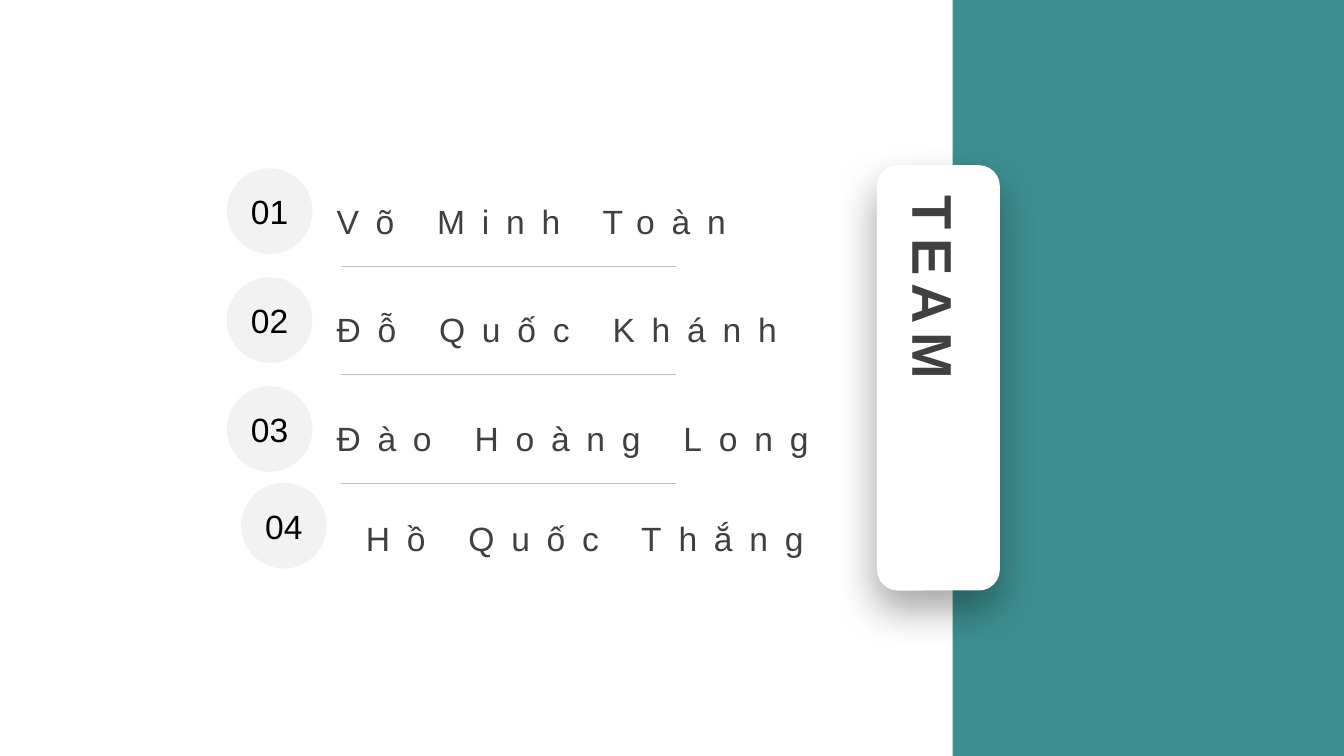
from lxml import etree
from pptx import Presentation
from pptx.dml.color import RGBColor
from pptx.enum import shapes, text
from pptx.oxml import ns
from pptx.util import Pt

COLORS = {"teal": "3C8E90", "white": "FFFFFF", "disc": "F2F2F2", "ink": "404040",
          "number": "000000", "rule": "BFBFBF", "shadow": "000000"}
SLIDE_W, SLIDE_H = 960, 540
FONT = "Arial"
DISC = 61.2
ROW_PITCH = 77.8
MEMBERS = ["Võ Minh Toàn", "Đỗ Quốc Khánh", "Đào Hoàng Long"]
LAST_MEMBER = "Hồ Quốc Thắng"


def color(name):
    return RGBColor.from_string(COLORS[name])


def add_panel(slide, kind, left, top, width, height, fill):
    panel = slide.shapes.add_shape(kind, Pt(left), Pt(top), Pt(width), Pt(height))
    panel.shadow.inherit = False
    panel.fill.solid()
    panel.fill.fore_color.rgb = color(fill)
    panel.line.fill.background()
    return panel


def format_text(frame, size, ink, spacing=0, bold=False):
    for paragraph in frame.paragraphs:
        for run in paragraph.runs:
            run.font.name = FONT
            run.font.size = Pt(size)
            run.font.bold = bold
            run.font.color.rgb = color(ink)
            if spacing:
                run.font._element.set("spc", str(spacing * 100))


def add_soft_shadow(card):
    effects = card._element.spPr.find(ns.qn("a:effectLst"))
    shadow = etree.SubElement(effects, ns.qn("a:outerShdw"), blurRad=str(Pt(29)),
                              dist=str(Pt(14)), dir="5700000", algn="ctr", rotWithShape="0")
    tint = etree.SubElement(shadow, ns.qn("a:srgbClr"), val=COLORS["shadow"])
    etree.SubElement(tint, ns.qn("a:alpha"), val="35000")


def add_title_card(slide, left, top, width, height):
    card = add_panel(slide, shapes.MSO_SHAPE.ROUNDED_RECTANGLE, left, top, width, height, "white")
    card.adjustments[0] = 0.17
    add_soft_shadow(card)

    # Vertical title, raised above the card
    title = slide.shapes.title
    title.left, title.top = Pt(left + 10), Pt(top + 18)
    title.width, title.height = Pt(62.6), Pt(height - 27)
    frame = title.text_frame
    frame.text = "TEAM"
    frame.auto_size = text.MSO_AUTO_SIZE.NONE
    frame.vertical_anchor = text.MSO_ANCHOR.TOP
    frame._txBody.bodyPr.set("vert", "eaVert")
    frame.paragraphs[0].alignment = text.PP_ALIGN.LEFT
    format_text(frame, 40, "ink", spacing=6, bold=True)
    slide.shapes._spTree.append(title._element)


def add_member(slide, left, top, number, name, name_dx=71.3, name_dy=13.7):
    # Numbered disc
    disc = add_panel(slide, shapes.MSO_SHAPE.OVAL, left, top, DISC, DISC, "disc")
    frame = disc.text_frame
    frame.text = f"{number:02d}"
    frame.word_wrap = False
    frame.vertical_anchor = text.MSO_ANCHOR.MIDDLE
    frame.paragraphs[0].alignment = text.PP_ALIGN.CENTER
    format_text(frame, 24, "number")

    # Member name
    label = slide.shapes.add_textbox(Pt(left + name_dx), Pt(top + name_dy), Pt(370), Pt(40))
    label.text_frame.word_wrap = True
    label.text_frame.text = name
    label.text_frame.paragraphs[0].line_spacing = 1.2
    format_text(label.text_frame, 24, "ink", spacing=12)


def add_rule(slide, left, top, width):
    rule = slide.shapes.add_connector(shapes.MSO_CONNECTOR.STRAIGHT,
                                      Pt(left), Pt(top), Pt(left + width), Pt(top))
    rule.line.color.rgb = color("rule")
    rule.line.width = Pt(0.25)
    etree.SubElement(rule._element.spPr, ns.qn("a:effectLst"))


def add_member_list(slide, left, top):
    for index, name in enumerate(MEMBERS):
        row_top = top + index * ROW_PITCH
        add_member(slide, left, row_top, index + 1, name)
        add_rule(slide, left + 81.4, row_top + 69.6, 239.5)
    # The last member is set in from the rows above
    add_member(slide, left + 10.2, top + 224.7, len(MEMBERS) + 1, LAST_MEMBER,
               name_dx=82, name_dy=15.8)


def main():
    deck = Presentation()
    deck.slide_width, deck.slide_height = Pt(SLIDE_W), Pt(SLIDE_H)
    slide = deck.slides.add_slide(deck.slide_layouts[5])
    add_panel(slide, shapes.MSO_SHAPE.RECTANGLE, 680.5, 0, SLIDE_W - 680.5, SLIDE_H, "teal")
    add_title_card(slide, 626.4, 118, 87.8, 303.8)
    add_member_list(slide, 162, 120.2)
    deck.save("out.pptx")


if __name__ == "__main__":
    main()
